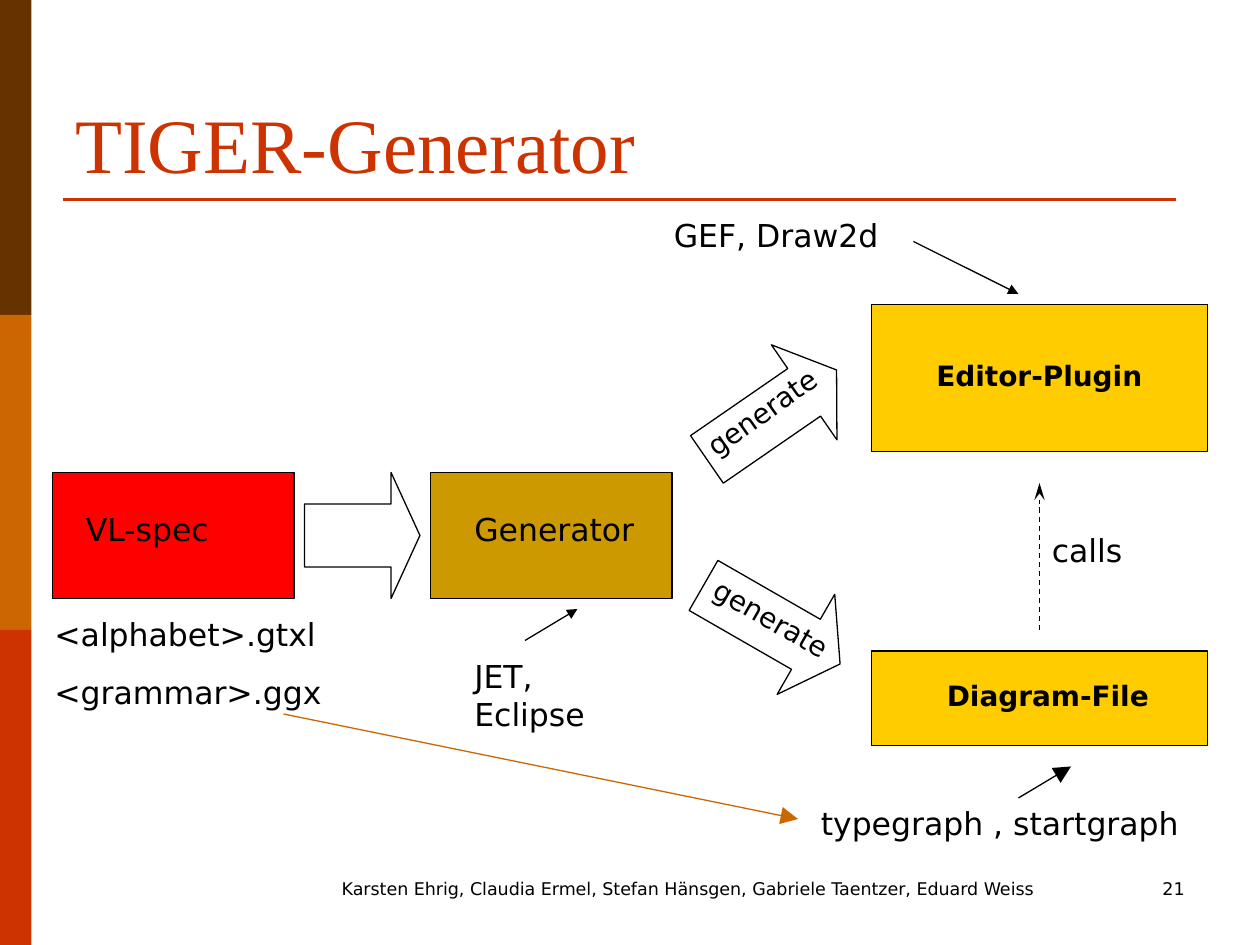
from collections import namedtuple

from lxml.etree import SubElement
from pptx import Presentation
from pptx.dml.color import RGBColor
from pptx.enum.dml import MSO_LINE
from pptx.enum.shapes import MSO_CONNECTOR, MSO_SHAPE
from pptx.enum.text import MSO_ANCHOR, PP_ALIGN
from pptx.oxml.ns import qn
from pptx.util import Inches, Pt

COLUMNS, ROWS = 120, 90
CELL = Inches(1) / 12
BLACK, BROWN, ORANGE, RUST = "000000", "663300", "CC6600", "CC3300"
RED, OCHRE, YELLOW = "FF0000", "CC9900", "FFCC00"

Box = namedtuple("Box", "left top width height")


def color(value):
    return RGBColor.from_string(value)


def cells(*values):
    return [round(value * CELL) for value in values]


def inside(box, column, row, width, height):
    return Box(box.left + column, box.top + row, width, height)


def add_block(slide, box, fill=None, outline=BLACK, kind=MSO_SHAPE.RECTANGLE):
    block = slide.shapes.add_shape(kind, *cells(*box))
    block.shadow.inherit = False
    if fill:
        block.fill.solid()
        block.fill.fore_color.rgb = color(fill)
    else:
        block.fill.background()
    if outline:
        block.line.color.rgb = color(outline)
        block.line.width = Pt(0.75)
    else:
        block.line.fill.background()
    return block


def add_block_arrow(slide, box, head, rotation=0):
    arrow = add_block(slide, box, kind=MSO_SHAPE.RIGHT_ARROW)
    arrow.adjustments[0] = 0.5
    arrow.adjustments[1] = head
    arrow.rotation = rotation


def add_label(slide, box, text, size=18, bold=False, ink=BLACK,
              font="DejaVu Sans", align=PP_ALIGN.LEFT,
              anchor=MSO_ANCHOR.TOP, rotation=0):
    label = slide.shapes.add_textbox(*cells(*box))
    label.rotation = rotation
    frame = label.text_frame
    frame.word_wrap = True
    frame.vertical_anchor = anchor
    frame.text = text
    for index, paragraph in enumerate(frame.paragraphs):
        paragraph.alignment = align
        if index:
            paragraph.space_before = Pt(11.2)
        for run in paragraph.runs:
            run.font.name = font
            run.font.size = Pt(size)
            run.font.bold = bold
            run.font.color.rgb = color(ink)


def add_line(slide, box, start, end, ink=BLACK, weight=0.75, head=None,
             head_width="med", head_length="med", dashed=False):
    ends = [box.left + start[0], box.top + start[1],
            box.left + end[0], box.top + end[1]]
    line = slide.shapes.add_connector(MSO_CONNECTOR.STRAIGHT, *cells(*ends))
    line.line.color.rgb = color(ink)
    line.line.width = Pt(weight)
    if dashed:
        line.line.dash_style = MSO_LINE.DASH
    if head:
        SubElement(line.line._get_or_add_ln(), qn("a:tailEnd"),
                   type=head, w=head_width, len=head_length)
    SubElement(line._element.spPr, qn("a:effectLst"))


def sidebar(slide, box):
    bands = (BROWN, ORANGE, RUST)
    band_height = box.height / len(bands)
    for index, fill in enumerate(bands):
        band = inside(box, 0, index * band_height, box.width, band_height)
        add_block(slide, band, fill, outline=None)


def heading(slide, box):
    add_line(slide, box, (0, 15.4), (106, 15.4), RUST, 1.5)
    add_label(slide, box, "TIGER-Generator", 44, ink=RUST,
              font="Times New Roman", anchor=MSO_ANCHOR.BOTTOM)


def specification(slide, box):
    add_block(slide, inside(box, 0, 0, 23, 12), RED)
    add_label(slide, inside(box, 2, 3, 24, 4.8), "VL-spec")
    add_label(slide, inside(box, -1, 13, 31, 10.3),
              "<alphabet>.gtxl\n<grammar>.ggx")
    add_block_arrow(slide, inside(box, 24, 0, 11, 12), 0.25)
    add_line(slide, box, (22, 23), (71, 33), ORANGE, head="triangle",
             head_width="lg", head_length="lg")


def generator(slide, box):
    add_block(slide, inside(box, 0, 0, 23, 12), OCHRE)
    add_label(slide, inside(box, 3, 3, 18, 4.8), "Generator")
    add_label(slide, inside(box, 3, 17, 13, 8.4), "JET, Eclipse")
    add_line(slide, box, (9, 16), (14, 13), head="triangle")


def generation(slide, box):
    add_block_arrow(slide, inside(box, 1, 0, 15, 11), 0.341, 325.4)
    add_block_arrow(slide, inside(box, 1, 20, 15, 11), 0.341, 29.9)
    add_label(slide, inside(box, 0, 2, 18, 4.4), "generate", 16, rotation=324.7)
    add_label(slide, inside(box, 1, 23.6, 18, 4.4), "generate", 16, rotation=30)


def editor_plugin(slide, box):
    add_block(slide, box, YELLOW)
    add_label(slide, inside(box, 5, 4.6, 24, 4.4), "Editor-Plugin", 16, True)
    add_label(slide, inside(box, -20, -9, 36, 4.8), "GEF, Draw2d")
    add_line(slide, box, (4, -6), (14, -1), head="triangle")


def diagram_file(slide, box):
    add_block(slide, box, YELLOW)
    add_label(slide, inside(box, 6, 2, 31, 4.4), "Diagram-File", 16, True)
    add_line(slide, box, (16, -2), (16, -16), head="stealth",
             head_length="lg", dashed=True)
    add_label(slide, inside(box, 16, -12, 15, 4.8), "calls")
    add_label(slide, inside(box, -6, 14, 43, 4.8), "typegraph , startgraph")
    add_line(slide, box, (14, 14), (19, 11), head="triangle",
             head_width="lg", head_length="lg")


def footer(slide, box):
    add_label(slide, inside(box, 0, 0, 79, box.height),
              "Karsten Ehrig, Claudia Ermel, Stefan Hänsgen, "
              "Gabriele Taentzer, Eduard Weiss", 10, align=PP_ALIGN.CENTER)
    add_label(slide, inside(box, 73, 0, 15, box.height), "21", 10,
              align=PP_ALIGN.RIGHT)


def main():
    deck = Presentation()
    deck.slide_width, deck.slide_height = cells(COLUMNS, ROWS)
    slide = deck.slides.add_slide(deck.slide_layouts[6])
    sidebar(slide, Box(0, 0, 3, ROWS))
    heading(slide, Box(6, 3.6, 108, 15))
    specification(slide, Box(5, 45, 35, 33))
    generator(slide, Box(41, 45, 23, 26))
    generation(slide, Box(65, 34, 19, 31))
    editor_plugin(slide, Box(83, 29, 32, 14))
    diagram_file(slide, Box(83, 62, 32, 9))
    footer(slide, Box(26, 83, 88, 6))
    deck.save("out.pptx")


if __name__ == "__main__":
    main()
